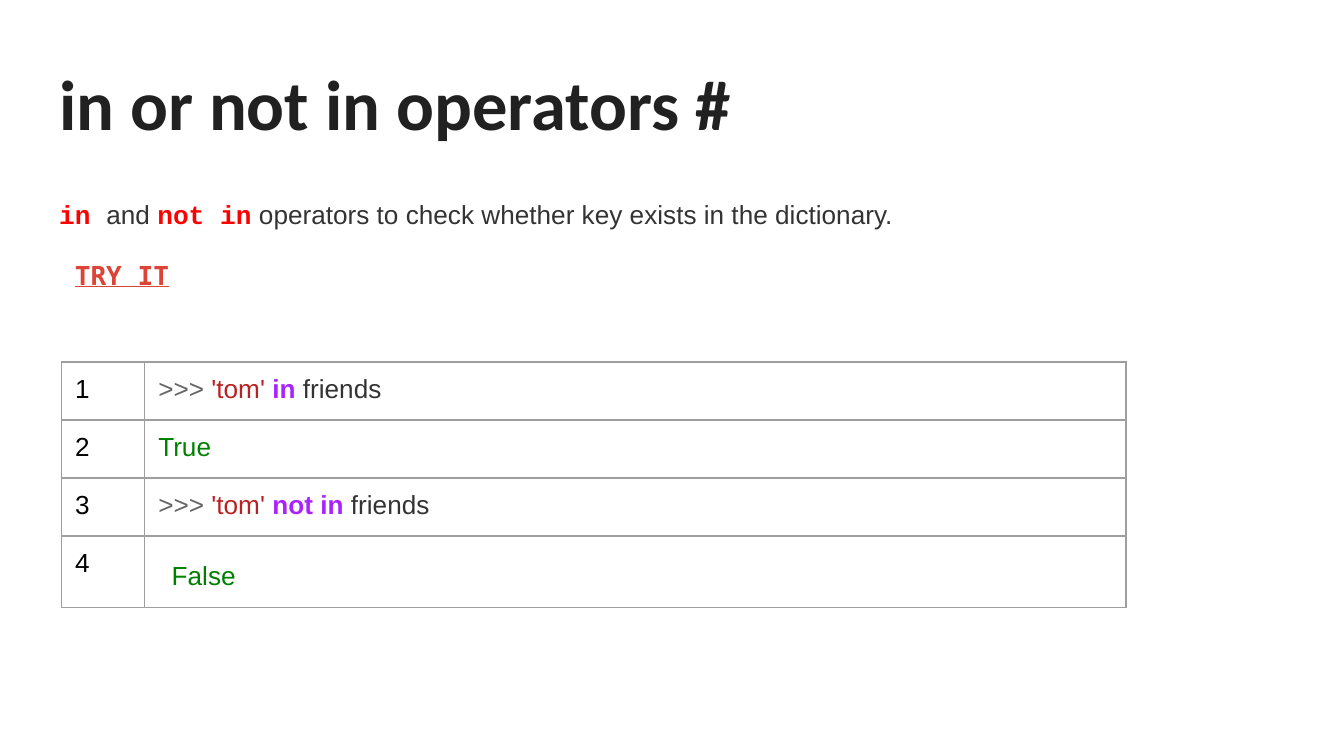
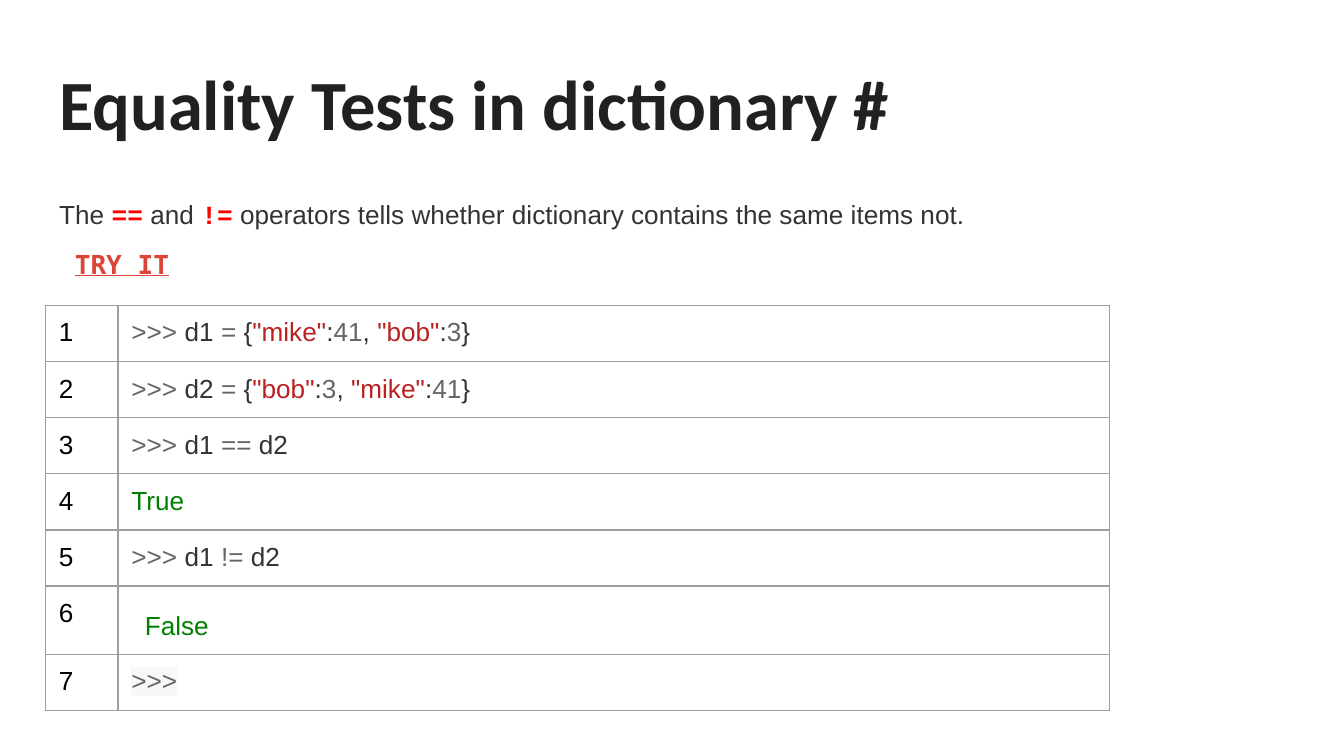
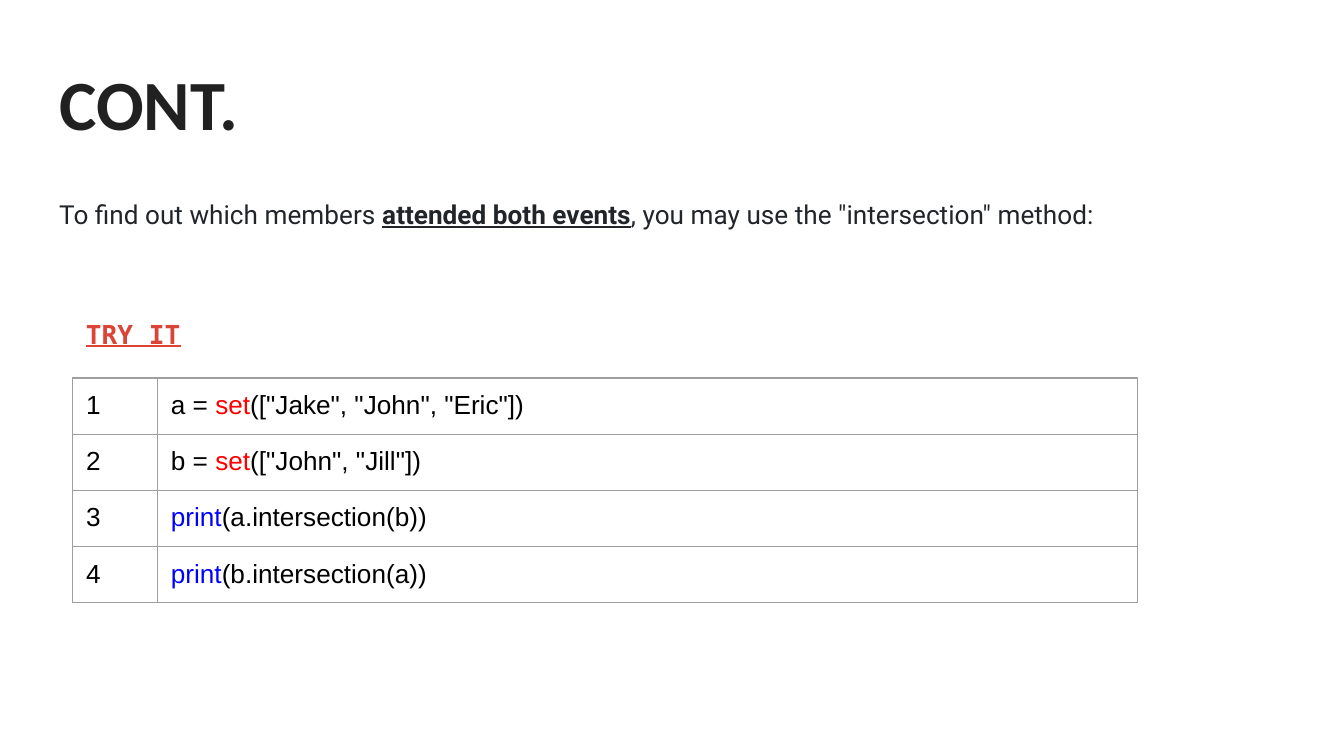
from lxml import etree
from pptx import Presentation
from pptx.dml.color import RGBColor
from pptx.enum import text
from pptx.oxml import ns
from pptx.util import Pt

COLORS = {
    "title": "212121", "body": "333333", "intro": "212529", "black": "000000",
    "red": "FF0000", "link": "DB4437", "grey": "666666", "string": "BA2121",
    "word": "AA22FF", "result": "008000", "blue": "0000FF",
    "border": "9E9E9E", "highlight": "F8F8F8",
}
INSET = 7.2
BORDER_WIDTH = 0.75
TITLE_BOX = (24.5, 23, 671, 63.4)
INTRO_BOX = (24.5, 96.5, 671, 47)
LABEL_SIZE = (236, 31.7)


def style(color, font="Arial", size=14, bold=False, underline=False, highlight=None):
    return dict(color=color, font=font, size=size, bold=bold,
                underline=underline, highlight=highlight)


STYLES = {
    "title": style("title", "Calibri", 37.8, bold=True),
    "label": style("link", "DejaVu Sans Mono", bold=True, underline=True),
    "operator": style("red", "Courier New", bold=True),
    "intro": style("intro", "Roboto"),
    "stress": style("intro", "Roboto", bold=True, underline=True),
    "word": style("word", bold=True),
    "cursor": style("grey", highlight="highlight"),
    **{name: style(name) for name in
       ("body", "black", "red", "grey", "string", "result", "blue")},
}

PROMPT = (">>> ", "grey")
TOM = ("'tom' ", "string")
FRIENDS = (" friends", "body")
TRUE = [("True", "result")]
FALSE = [("False", "result")]
MIKE = [('"mike"', "string"), (":", "body"), ("41", "grey")]
BOB = [('"bob"', "string"), (":", "body"), ("3", "grey")]


def assignment(name, first, second):
    """Runs of a prompt line that stores two entries in a dictionary."""
    return [PROMPT, (f"{name} ", "body"), ("=", "grey"), (" {", "body"),
            *first, (", ", "body"), *second, ("}", "body")]


def comparison(operator):
    return [PROMPT, ("d1 ", "body"), (operator, "grey"), (" d2", "body")]


SLIDES = [
    {
        "title": "in or not in operators #",
        "intro": [("in ", "operator"), ("and ", "body"), ("not in", "operator"),
                  (" operators to check whether key exists in the dictionary.", "body")],
        "label_at": (33, 131.8),
        "table_at": (33, 193.9),
        "columns": (44.6, 525.6),
        "row_heights": (31.1, 38.2),
        "code": [
            [PROMPT, TOM, ("in", "word"), FRIENDS],
            TRUE,
            [PROMPT, TOM, ("not in", "word"), FRIENDS],
            FALSE,
        ],
    },
    {
        "title": "Equality Tests in dictionary #",
        "intro": [("The ", "body"), ("==", "operator"), (" and ", "body"),
                  ("!=", "operator"),
                  (" operators tells whether dictionary contains the same items not.",
                   "body")],
        "label_at": (33, 126),
        "table_at": (24.4, 163.6),
        "columns": (38.8, 531.4),
        "row_heights": (30.1, 36.5),
        "code": [
            assignment("d1", MIKE, BOB),
            assignment("d2", BOB, MIKE),
            comparison("=="),
            TRUE,
            comparison("!="),
            FALSE,
            [(">>>", "cursor")],
        ],
    },
    {
        "title": "CONT.",
        "intro": [("To find out which members ", "intro"),
                  ("attended both events", "stress"),
                  (', you may use the "intersection" method:', "intro")],
        "label_at": (39, 163.6),
        "table_at": (39, 202.5),
        "columns": (45.3, 524.9),
        "row_heights": (30.1, 30.1),
        "code": [
            [("a = ", "black"), ("set", "red"), ('(["Jake", "John", "Eric"])', "black")],
            [("b = ", "black"), ("set", "red"), ('(["John", "Jill"])', "black")],
            [("print", "blue"), ("(a.intersection(b))", "black")],
            [("print", "blue"), ("(b.intersection(a))", "black")],
        ],
    },
]


def points(values):
    return [Pt(value) for value in values]


def add_color(parent, tag, color):
    """Append an element that holds one RGB colour."""
    holder = etree.SubElement(parent, ns.qn(tag))
    etree.SubElement(holder, ns.qn("a:srgbClr"), val=COLORS[color])


def write(paragraph, runs):
    for content, name in runs:
        look = STYLES[name]
        run = paragraph.add_run()
        run.text = content
        font = run.font
        font.size = Pt(look["size"])
        font.bold = look["bold"]
        font.underline = look["underline"]
        font.color.rgb = RGBColor.from_string(COLORS[look["color"]])
        if look["highlight"]:
            add_color(run._r.get_or_add_rPr(), "a:highlight", look["highlight"])
        font.name = look["font"]


def fill_box(shape, box, runs, anchor=text.MSO_ANCHOR.TOP, spacing=1.0):
    shape.left, shape.top, shape.width, shape.height = points(box)
    frame = shape.text_frame
    frame.word_wrap = True
    frame.auto_size = text.MSO_AUTO_SIZE.NONE
    frame.vertical_anchor = anchor
    frame.margin_left = frame.margin_right = Pt(INSET)
    frame.margin_top = frame.margin_bottom = Pt(INSET)
    paragraph = frame.paragraphs[0]
    paragraph.alignment = text.PP_ALIGN.LEFT
    paragraph.line_spacing = spacing
    paragraph.space_before = Pt(0)
    write(paragraph, runs)
    return paragraph


def remove_bullet(paragraph):
    properties = paragraph._p.get_or_add_pPr()
    properties.set("marL", "0")
    properties.set("indent", "0")
    etree.SubElement(properties, ns.qn("a:buNone"))


def fill_cell(cell, runs):
    cell.margin_left = cell.margin_right = Pt(INSET)
    cell.margin_top = cell.margin_bottom = Pt(6.9)
    properties = cell._tc.get_or_add_tcPr()
    for side in ("L", "R", "T", "B"):
        line = etree.SubElement(properties, ns.qn(f"a:ln{side}"),
                                w=str(Pt(BORDER_WIDTH)))
        add_color(line, "a:solidFill", "border")
    cell.fill.background()
    paragraph = cell.text_frame.paragraphs[0]
    if runs is FALSE:
        paragraph.line_spacing = 1.43
        paragraph._p.get_or_add_pPr().set("marL", str(Pt(INSET)))
    write(paragraph, runs)


def add_code_table(slide, content):
    code = content["code"]
    normal, tall = content["row_heights"]
    heights = [tall if runs is FALSE else normal for runs in code]
    size = (sum(content["columns"]), sum(heights))
    table = slide.shapes.add_table(
        len(code), 2, *points(content["table_at"] + size)).table
    table.first_row = table.horz_banding = False
    for column, width in zip(table.columns, content["columns"]):
        column.width = Pt(width)
    for index, (runs, height) in enumerate(zip(code, heights)):
        table.rows[index].height = Pt(height)
        fill_cell(table.cell(index, 0), [(str(index + 1), "black")])
        fill_cell(table.cell(index, 1), runs)


def add_slide(presentation, content):
    slide = presentation.slides.add_slide(presentation.slide_layouts[1])
    fill_box(slide.shapes.title, TITLE_BOX, [(content["title"], "title")],
             anchor=text.MSO_ANCHOR.MIDDLE)
    intro = fill_box(slide.placeholders[1], INTRO_BOX, content["intro"], spacing=1.15)
    remove_bullet(intro)
    add_code_table(slide, content)
    label_box = content["label_at"] + LABEL_SIZE
    label = slide.shapes.add_textbox(*points(label_box))
    fill_box(label, label_box, [("TRY IT", "label")])


def main():
    presentation = Presentation()
    presentation.slide_width, presentation.slide_height = points((720, 405))
    for content in SLIDES:
        add_slide(presentation, content)
    presentation.save("out.pptx")


if __name__ == "__main__":
    main()
